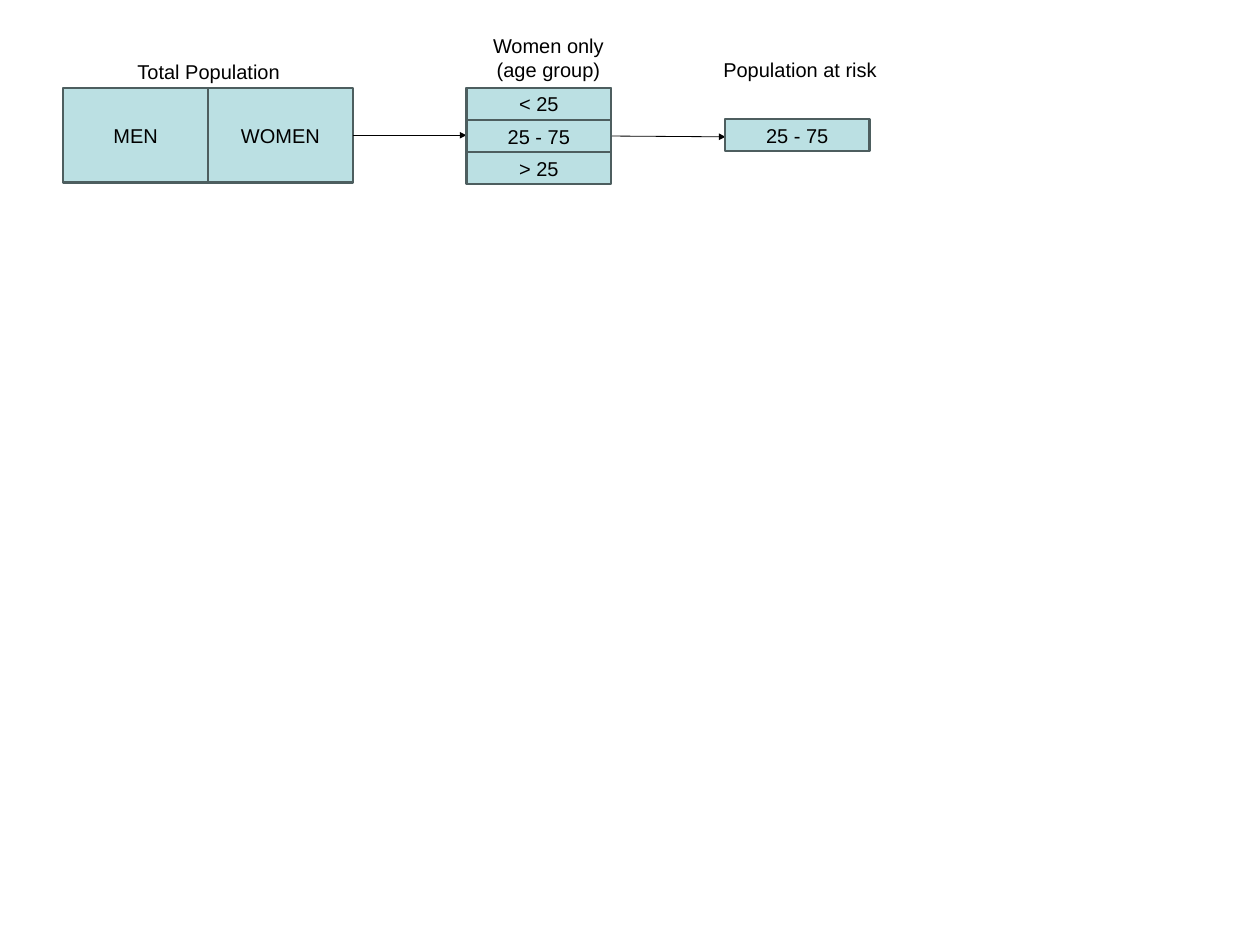
import pptx
import pptx.util
import pptx.dml.color
import pptx.enum.shapes
import pptx.enum.text
import pptx.oxml.ns
import lxml.etree
from dataclasses import dataclass

Inches = pptx.util.Inches
Pt = pptx.util.Pt
Align = pptx.enum.text.PP_ALIGN


@dataclass(frozen=True)
class Theme:
    fill: str = "BBE0E3"
    outline: str = "4D5E5F"
    ink: str = "000000"
    font: str = "Arial"
    text_size: float = 18
    outline_width: float = 2
    arrow_width: float = 0.75


THEME = Theme()
CELL_WIDTH = 1.81
ROW_HEIGHT = 0.4
GROUP_HEIGHT = 1.18
GROUP_TOP = 1.1


def color(value):
    return pptx.dml.color.RGBColor.from_string(value)


def write(frame, text, align):
    frame.text = text
    for para in frame.paragraphs:
        para.alignment = align
        for span in para.runs:
            span.font.name = THEME.font
            span.font.size = Pt(THEME.text_size)
            span.font.color.rgb = color(THEME.ink)


def add_cell(page, left, top, width, height, text=""):
    cell = page.shapes.add_shape(
        pptx.enum.shapes.MSO_SHAPE.RECTANGLE,
        Inches(left), Inches(top), Inches(width), Inches(height))
    cell.shadow.inherit = False
    cell.fill.solid()
    cell.fill.fore_color.rgb = color(THEME.fill)
    cell.line.color.rgb = color(THEME.outline)
    cell.line.width = Pt(THEME.outline_width)
    if text:
        cell.text_frame.vertical_anchor = pptx.enum.text.MSO_ANCHOR.MIDDLE
        write(cell.text_frame, text, Align.CENTER)


def add_label(page, left, top, width, height, text, align=Align.CENTER):
    box = page.shapes.add_textbox(
        Inches(left), Inches(top), Inches(width), Inches(height))
    box.text_frame.word_wrap = False
    box.text_frame.auto_size = pptx.enum.text.MSO_AUTO_SIZE.SHAPE_TO_FIT_TEXT
    write(box.text_frame, text, align)


def add_arrow(page, start, end):
    arrow = page.shapes.add_connector(
        pptx.enum.shapes.MSO_CONNECTOR.STRAIGHT,
        *(Inches(value) for value in start + end))
    arrow.line.color.rgb = color(THEME.ink)
    arrow.line.width = Pt(THEME.arrow_width)
    qn = pptx.oxml.ns.qn
    lxml.etree.SubElement(arrow.line._get_or_add_ln(), qn("a:tailEnd"), type="triangle")
    lxml.etree.SubElement(arrow._element.spPr, qn("a:effectLst"))


def add_total_population(page, left, top):
    for column, text in enumerate(("MEN", "WOMEN")):
        add_cell(page, left + column * CELL_WIDTH, top, CELL_WIDTH, GROUP_HEIGHT, text)
    add_label(page, left + 0.83, top - 0.41, 2, 0.4, "Total Population", Align.LEFT)


def add_women_by_age(page, left, top):
    add_cell(page, left, top, CELL_WIDTH, GROUP_HEIGHT)
    add_label(page, left + 0.23, top - 0.73, 1.59, 0.7, "Women only\n(age group)")
    for row, text in enumerate(("< 25", "25 - 75", "> 25")):
        add_cell(page, left, top + row * ROW_HEIGHT, CELL_WIDTH, ROW_HEIGHT, text)


def add_population_at_risk(page, left, top):
    add_cell(page, left, top, CELL_WIDTH, ROW_HEIGHT, "25 - 75")
    add_label(page, left - 0.12, top - 0.82, 2.12, 0.4, "Population at risk")


def main():
    deck = pptx.Presentation()
    deck.slide_width = Inches(15.75)
    deck.slide_height = Inches(11.81)
    page = deck.slides.add_slide(deck.slide_layouts.get_by_name("Blank"))
    add_total_population(page, 0.79, GROUP_TOP)
    add_arrow(page, (4.41, 1.69), (5.83, 1.69))
    add_women_by_age(page, 5.83, GROUP_TOP)
    add_arrow(page, (7.65, 1.7), (9.07, 1.71))
    add_population_at_risk(page, 9.06, 1.49)
    deck.save("out.pptx")


if __name__ == "__main__":
    main()
